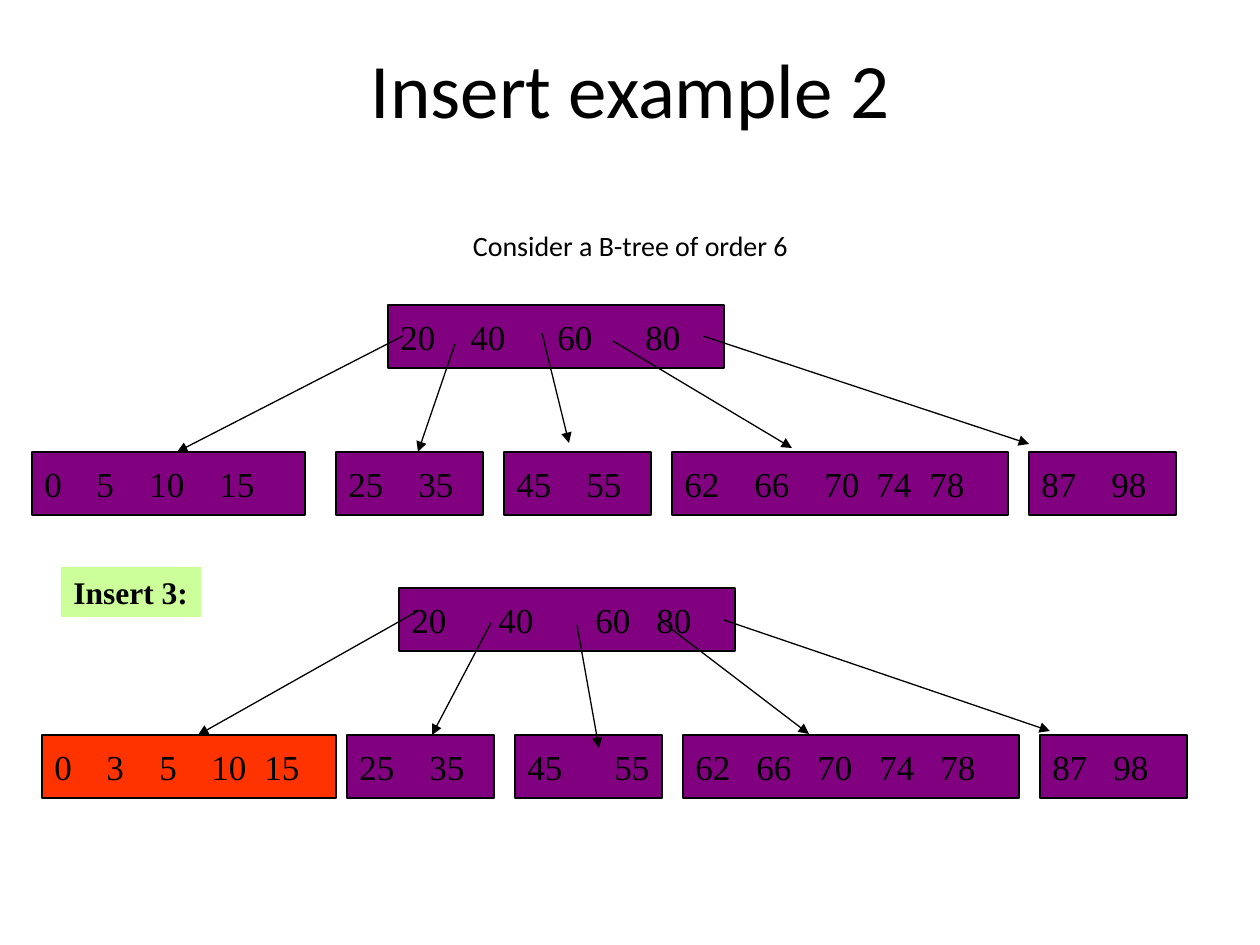
from dataclasses import dataclass

from lxml.etree import SubElement
from pptx import Presentation
from pptx.dml.color import RGBColor
from pptx.enum.shapes import MSO_CONNECTOR, MSO_SHAPE
from pptx.enum.text import MSO_ANCHOR, MSO_AUTO_SIZE, PP_ALIGN
from pptx.oxml.ns import qn
from pptx.slide import Slide
from pptx.util import Emu, Pt

BLACK = RGBColor(0x00, 0x00, 0x00)
PURPLE = RGBColor(0x80, 0x00, 0x80)
ORANGE = RGBColor(0xFF, 0x33, 0x00)
LIME = RGBColor(0xCC, 0xFF, 0x99)

EMU_PER_PX = 914400 / 126
NODE_HEIGHT = 63
LINE_WIDTH = Pt(0.75)
KEY_FORMAT = {"name": "Times New Roman", "size": Pt(20)}
LABEL_FORMAT = {"name": "Times New Roman", "size": Pt(18), "bold": True}
TITLE_FORMAT = {"name": "Calibri", "size": Pt(44)}
SUBTITLE_FORMAT = {"name": "Calibri", "size": Pt(16)}


@dataclass(frozen=True)
class Node:
    left: int
    width: int
    keys: tuple[int, ...]
    key_stops: tuple[int, ...]
    fill: RGBColor = PURPLE


@dataclass(frozen=True)
class Arrow:
    start: tuple[int, int]
    end: tuple[int, int]


@dataclass(frozen=True)
class Tree:
    root_top: int
    leaf_top: int
    root: Node
    leaves: tuple[Node, ...]
    arrows: tuple[Arrow, ...]


TREES = (
    Tree(
        305, 452,
        Node(388, 336, (20, 40, 60, 80), (70, 157, 245)),
        (
            Node(32, 273, (0, 5, 10, 15), (52, 105, 175)),
            Node(336, 147, (25, 35), (70,)),
            Node(504, 147, (45, 55), (70,)),
            Node(672, 336, (62, 66, 70, 74, 78), (70, 140, 192, 245)),
            Node(1029, 147, (87, 98), (70,)),
        ),
        (
            Arrow((403, 336), (177, 452)),
            Arrow((455, 344), (418, 452)),
            Arrow((542, 333), (569, 443)),
            Arrow((613, 341), (792, 448)),
            Arrow((703, 336), (1029, 444)),
        ),
    ),
    Tree(
        588, 735,
        Node(399, 336, (20, 40, 60, 80), (87, 184, 245)),
        (
            Node(42, 294, (0, 3, 5, 10, 15), (52, 105, 157, 210), ORANGE),
            Node(347, 147, (25, 35), (70,)),
            Node(515, 147, (45, 55), (87,)),
            Node(683, 336, (62, 66, 70, 74, 78), (61, 122, 184, 245)),
            Node(1040, 147, (87, 98), (61,)),
        ),
        (
            Arrow((418, 611), (198, 735)),
            Arrow((491, 623), (432, 735)),
            Arrow((577, 625), (599, 748)),
            Arrow((661, 621), (809, 734)),
            Arrow((724, 620), (1050, 731)),
        ),
    ),
)


def px(length: int) -> Emu:
    return Emu(round(length * EMU_PER_PX))


def write(para, text: str, font_format: dict) -> None:
    span = para.add_run()
    span.text = text
    span.font.color.rgb = BLACK
    for name, value in font_format.items():
        setattr(span.font, name, value)


def add_box(page: Slide, bounds: tuple[int, int, int, int], fill: RGBColor):
    box = page.shapes.add_shape(MSO_SHAPE.RECTANGLE, *map(px, bounds))
    box.shadow.inherit = False
    box.fill.solid()
    box.fill.fore_color.rgb = fill
    box.line.fill.background()
    box.text_frame.word_wrap = False
    box.text_frame.vertical_anchor = MSO_ANCHOR.MIDDLE
    box.text_frame.paragraphs[0].alignment = PP_ALIGN.LEFT
    return box


def add_node(page: Slide, node: Node, top: int) -> None:
    box = add_box(page, (node.left, top, node.width, NODE_HEIGHT), node.fill)
    box.line.color.rgb = BLACK
    box.line.width = LINE_WIDTH
    para = box.text_frame.paragraphs[0]
    write(para, "\t".join(map(str, node.keys)), KEY_FORMAT)
    stops = SubElement(para._p.get_or_add_pPr(), qn("a:tabLst"))
    for stop in node.key_stops:
        SubElement(stops, qn("a:tab"), pos=str(px(stop)), algn="l")


def add_arrow(page: Slide, arrow: Arrow) -> None:
    line = page.shapes.add_connector(
        MSO_CONNECTOR.STRAIGHT, *map(px, arrow.start + arrow.end)
    )
    line.line.color.rgb = BLACK
    line.line.width = LINE_WIDTH
    SubElement(line.line._get_or_add_ln(), qn("a:tailEnd"), type="triangle")
    SubElement(line._element.spPr, qn("a:effectLst"))


def add_tree(page: Slide, tree: Tree) -> None:
    add_node(page, tree.root, tree.root_top)
    for leaf in tree.leaves:
        add_node(page, leaf, tree.leaf_top)
    for arrow in tree.arrows:
        add_arrow(page, arrow)


def add_title(page: Slide) -> None:
    title = page.shapes.title
    title.left, title.top, title.width, title.height = map(px, (95, 73, 1071, 158))
    frame = title.text_frame
    frame.auto_size = MSO_AUTO_SIZE.NONE
    frame.vertical_anchor = MSO_ANCHOR.MIDDLE
    heading = frame.paragraphs[0]
    subtitle = frame.add_paragraph()
    subtitle.space_before = Pt(54)
    write(heading, "Insert example 2", TITLE_FORMAT)
    write(subtitle, "Consider a B-tree of order 6", SUBTITLE_FORMAT)
    for para in frame.paragraphs:
        para.alignment = PP_ALIGN.CENTER


def add_label(page: Slide) -> None:
    box = add_box(page, (61, 567, 140, 50), LIME)
    write(box.text_frame.paragraphs[0], "Insert 3:", LABEL_FORMAT)


def main() -> None:
    deck = Presentation()
    deck.slide_width, deck.slide_height = px(1260), px(945)
    page = deck.slides.add_slide(deck.slide_layouts[5])
    add_title(page)
    for tree in TREES:
        add_tree(page, tree)
    add_label(page)
    deck.save("out.pptx")


if __name__ == "__main__":
    main()
